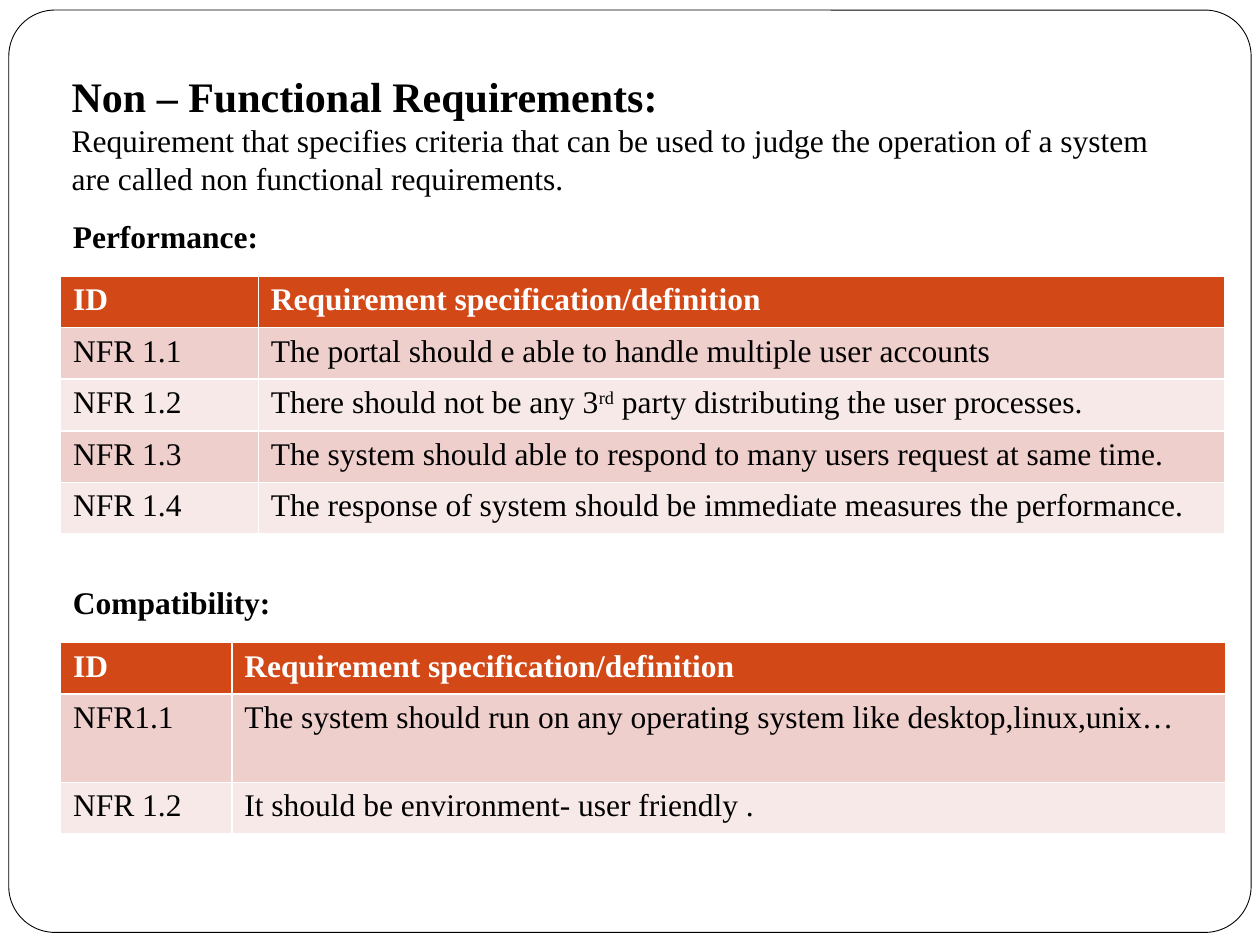
from pptx import Presentation
from pptx.dml.color import RGBColor
from pptx.enum.shapes import MSO_SHAPE
from pptx.enum.text import MSO_AUTO_SIZE
from pptx.util import Inches, Pt

BLACK, WHITE = "000000", "FFFFFF"
HEADER_FILL = "D34817"
BAND_FILLS = ["EFCFCC", "F7E9E8"]
HEADINGS = ("ID", ["Requirement specification/definition"])


def color(hex_text):
    return RGBColor.from_string(hex_text)


def add_span(para, text, size=18, bold=False, ink=BLACK):
    span = para.add_run()
    span.text = text
    span.font.name = "Times New Roman"
    span.font.size = Pt(size)
    span.font.bold = bold
    span.font.color.rgb = color(ink)
    return span


deck = Presentation()
deck.slide_width, deck.slide_height = Inches(10), Inches(7.5)
page = deck.slides.add_slide(deck.slide_layouts[6])

frame = page.shapes.add_shape(
    MSO_SHAPE.ROUNDED_RECTANGLE, Inches(0.07), Inches(0.08), Inches(9.86), Inches(7.32))
frame.adjustments[0] = 0.05
frame.shadow.inherit = False
frame.fill.solid()
frame.fill.fore_color.rgb = color(WHITE)
frame.line.color.rgb = color(BLACK)
frame.line.width = Pt(0.5)

# Each box: left, top, width, height, then its paragraphs as (text, size, bold)
text_boxes = [
    (0.47, 0.51, 8.86, 1.14, [
        ("Non – Functional Requirements:", 24, True),
        ("Requirement that specifies criteria that can be used to judge the operation "
         "of a system are called non functional requirements.", 18, False)]),
    (0.48, 1.67, 2.01, 0.4, [("Performance:", 18, True)]),
    (0.48, 4.58, 2.01, 0.4, [("Compatibility:", 18, True)]),
]
for *place, lines in text_boxes:
    box = page.shapes.add_textbox(*map(Inches, place))
    box.text_frame.word_wrap = True
    box.text_frame.auto_size = MSO_AUTO_SIZE.SHAPE_TO_FIT_TEXT
    for index, (text, size, bold) in enumerate(lines):
        para = box.text_frame.add_paragraph() if index else box.text_frame.paragraphs[0]
        add_span(para, text, size, bold)

# Each table: top, column widths, row heights, then rows of ID and definition;
# every second piece of a definition is superscript.
tables = [
    (2.19, [1.57, 7.67], [0.41] * 5, [
        ("NFR 1.1", ["The portal should e able to handle multiple user accounts"]),
        ("NFR 1.2", ["There should not be any 3", "rd",
                     " party distributing the user processes."]),
        ("NFR 1.3", ["The system should able to respond to many users request at same time."]),
        ("NFR 1.4", ["The response of system should be immediate measures the performance."])]),
    (5.1, [1.36, 7.89], [0.41, 0.7, 0.41], [
        ("NFR1.1", ["The system should run on any operating system like desktop,linux,unix…"]),
        ("NFR 1.2", ["It should be environment- user friendly ."])]),
]
for top, widths, heights, requirements in tables:
    table = page.shapes.add_table(
        len(heights), len(widths), Inches(0.48), Inches(top),
        Inches(sum(widths)), Inches(sum(heights))).table
    for column, width in zip(table.columns, widths):
        column.width = Inches(width)
    for row, height in zip(table.rows, heights):
        row.height = Inches(height)
    for row_index, (label, definition) in enumerate([HEADINGS] + requirements):
        is_header = row_index == 0
        fill = HEADER_FILL if is_header else BAND_FILLS[(row_index - 1) % 2]
        for column_index, pieces in enumerate([[label], definition]):
            cell = table.cell(row_index, column_index)
            cell.fill.solid()
            cell.fill.fore_color.rgb = color(fill)
            para = cell.text_frame.paragraphs[0]
            for piece_index, piece in enumerate(pieces):
                span = add_span(para, piece, bold=is_header, ink=WHITE if is_header else BLACK)
                if piece_index % 2:
                    span._r.get_or_add_rPr().set("baseline", "30000")

deck.save("out.pptx")
